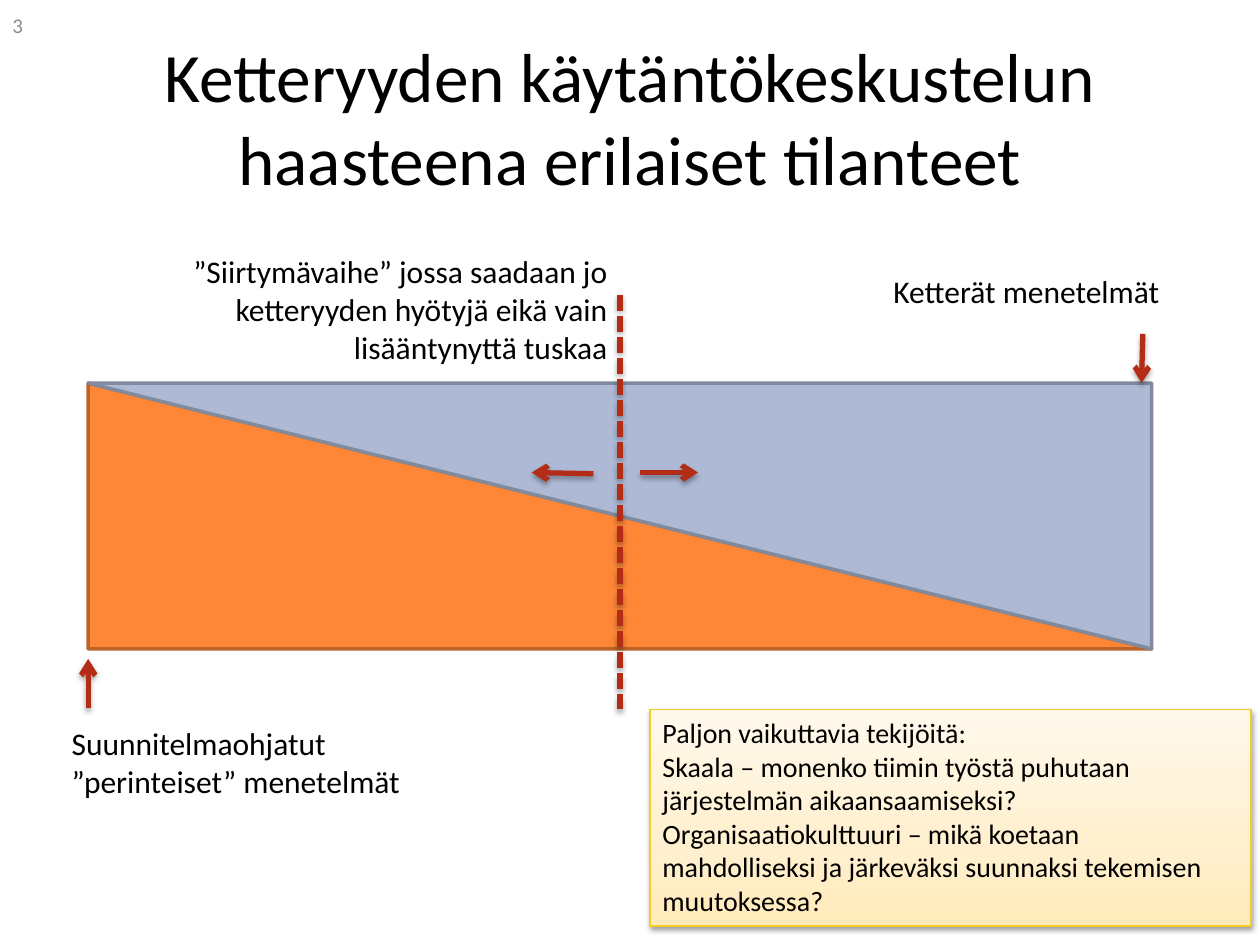
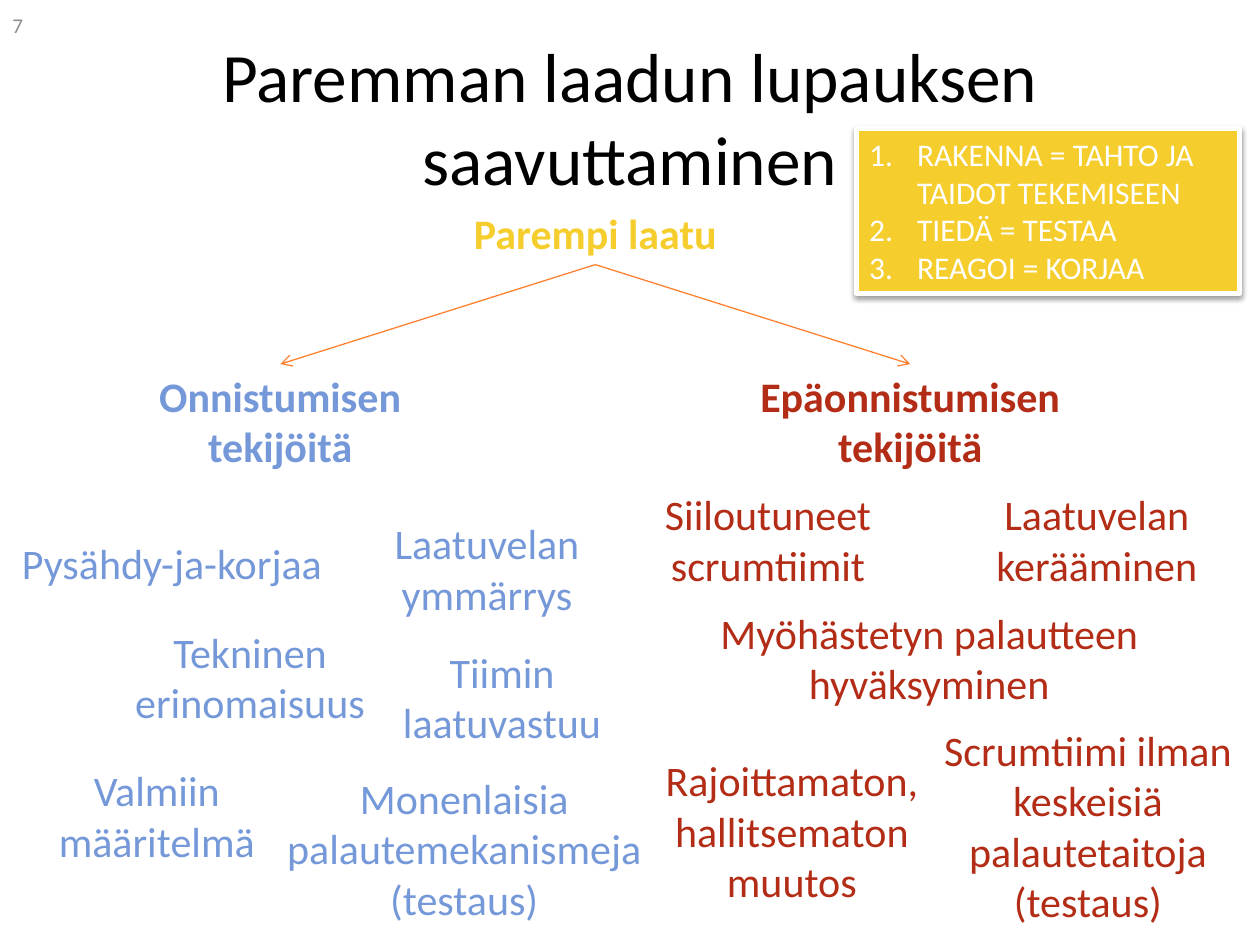
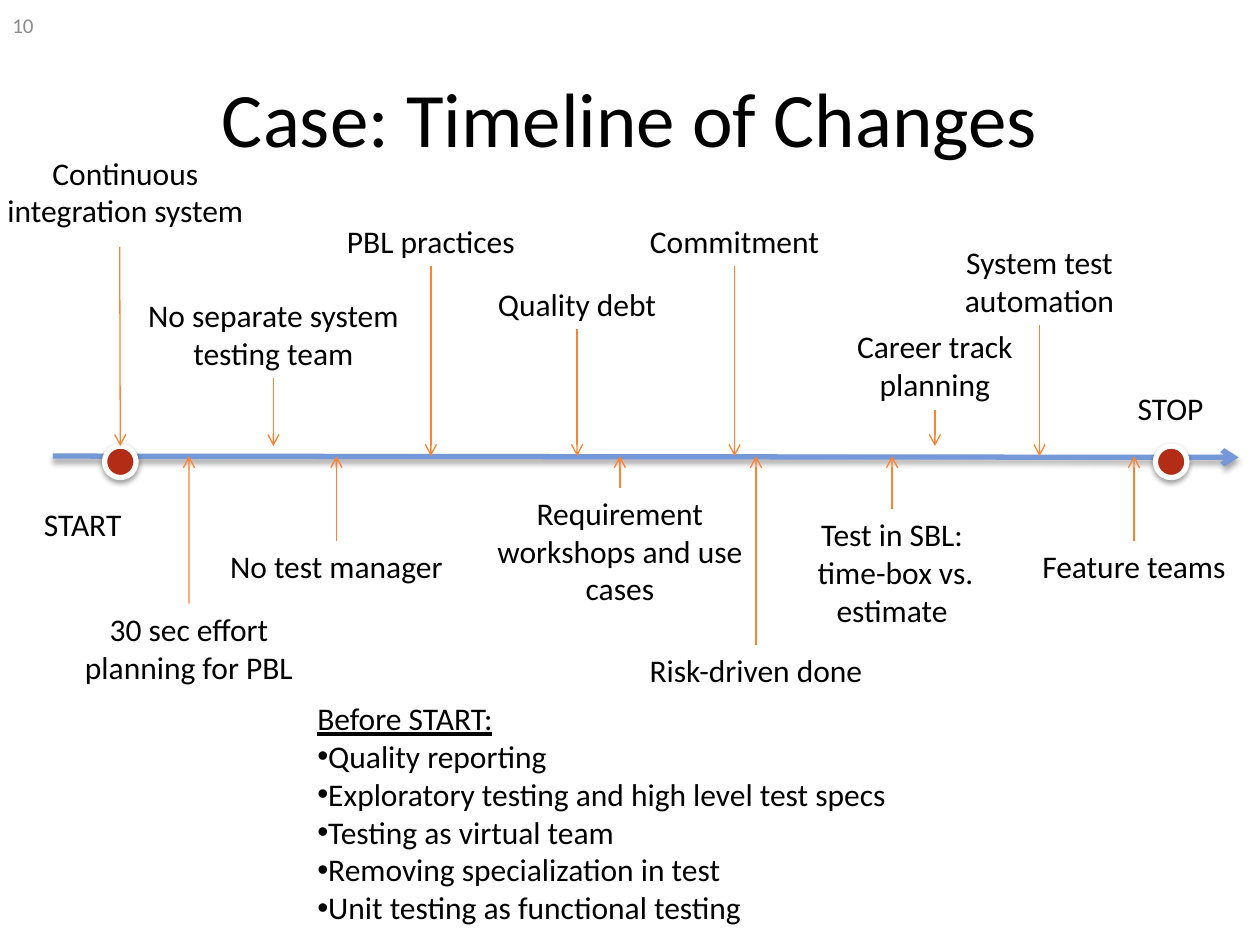
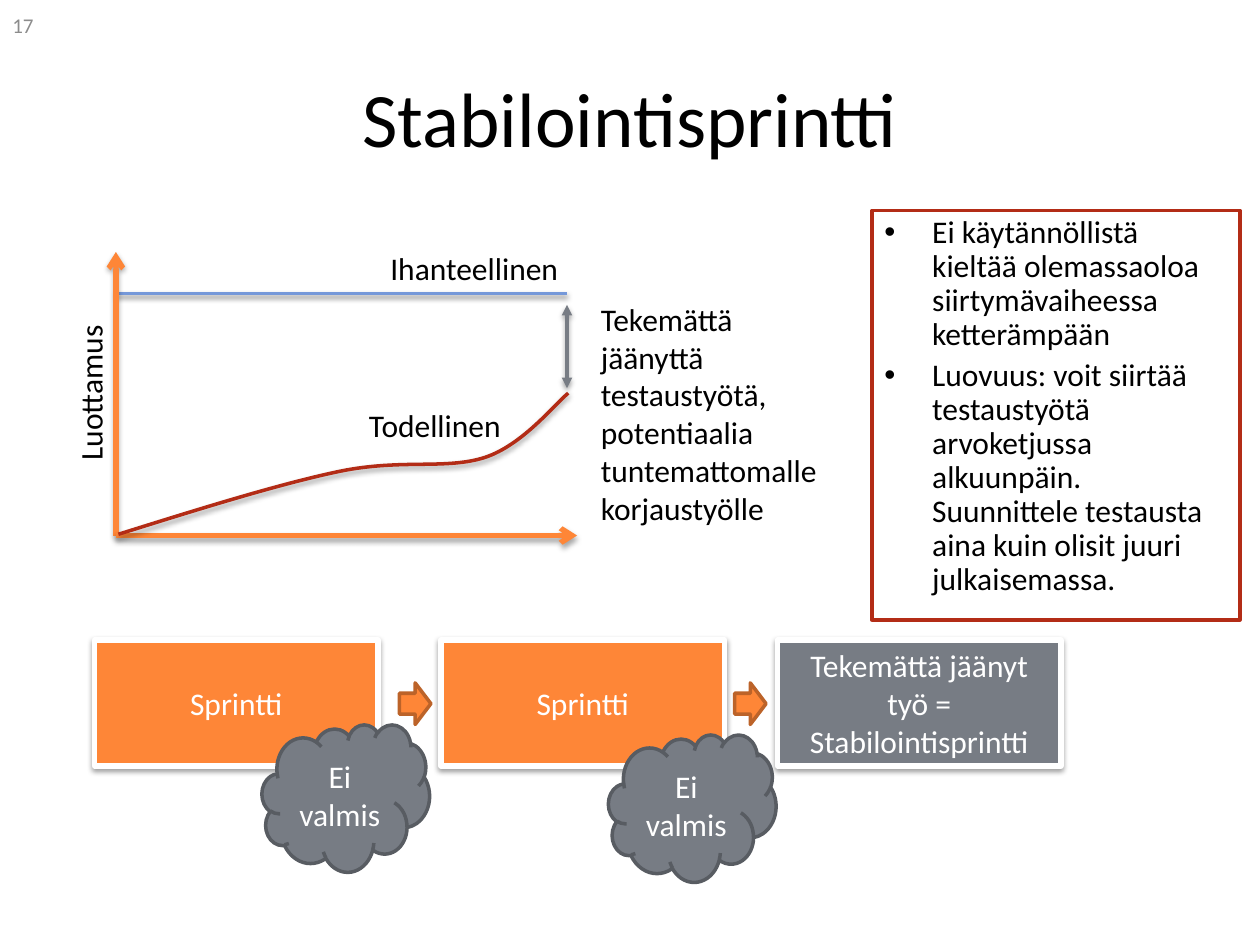
from copy import deepcopy
from dataclasses import dataclass
from typing import NamedTuple, Optional

from lxml import etree
from pptx import Presentation
from pptx.dml.color import RGBColor
from pptx.enum import dml, shapes, text
from pptx.oxml import ns
from pptx.util import Inches, Pt

FONT = "Calibri"
COLORS = {
    "black": "000000", "white": "FFFFFF", "number": "8C8C8C",
    "orange": "FE8637", "orange_edge": "BC6329", "thin_arrow": "FD8231",
    "blue": "7598D9", "pale_blue": "AEBAD5", "pale_blue_edge": "818A9E",
    "red": "B32C16", "yellow": "F5CD2D", "yellow_edge": "F4CB27",
    "grey": "777C84", "grey_edge": "585C62",
    "cream_dark": "FFEAB9", "cream": "FFEFCE", "cream_light": "FFF9EC",
}
LEFT, CENTER, RIGHT = text.PP_ALIGN.LEFT, text.PP_ALIGN.CENTER, text.PP_ALIGN.RIGHT
TOP, MIDDLE = text.MSO_ANCHOR.TOP, text.MSO_ANCHOR.MIDDLE
PRESET = shapes.MSO_SHAPE
TOP_SIDE, BOTTOM_SIDE = 0, 2


class Shadow(NamedTuple):
    opacity: int
    blur: float
    distance: float


LINE_SHADOW = Shadow(35, 3.1, 1.8)
SHAPE_SHADOW = Shadow(38, 3.1, 1.6)


class Frame(NamedTuple):
    left: float
    top: float
    width: float
    height: float

    def lengths(self) -> list:
        return [Inches(value) for value in self]


@dataclass(frozen=True)
class TextStyle:
    size: float = 18
    color: str = "black"
    bold: bool = False
    align: text.PP_ALIGN = LEFT
    anchor: text.MSO_ANCHOR = TOP
    marker: Optional[str] = None      # "•" or "1."
    hanging: float = 0
    line_spacing: Optional[float] = None
    space_between: float = 0


@dataclass(frozen=True)
class Look:
    fill: Optional[str]
    edge: str
    weight: float
    shadow: Optional[Shadow] = None


@dataclass(frozen=True)
class Stroke:
    color: str
    weight: float
    head: Optional[str] = None
    tail: Optional[str] = None
    shadow: Optional[Shadow] = None
    dash: Optional[dml.MSO_LINE] = None


@dataclass(frozen=True)
class Factor:
    """A label of the quality tree; lines is the number of lines it takes up."""
    words: str
    left: float
    top: float
    width: float = 2.73
    lines: int = 2


@dataclass(frozen=True)
class Change:
    """A change on the timeline, centred at x, with an arrow from edge to tip."""
    words: str
    x: float
    edge: float
    lines: int = 1
    tip: float = 3.62


BODY = TextStyle()
BODY_CENTER = TextStyle(align=CENTER)
BODY_RIGHT = TextStyle(align=RIGHT)
ON_FILL = TextStyle(color="white", align=CENTER, anchor=MIDDLE)
THIN_ARROW = Stroke("thin_arrow", 0.75, tail="arrow")
RED_ARROW = Stroke("red", 3, tail="arrow", shadow=LINE_SHADOW)
AXIS = Stroke("orange", 3, tail="arrow", shadow=LINE_SHADOW)


def rgb(name: str) -> RGBColor:
    return RGBColor.from_string(COLORS[name])


def text_height(lines: int, size: float) -> float:
    return round(0.1 + lines * size * 1.21 / 72, 2)


def add_marker(paragraph, marker: str, hanging: float) -> None:
    props = paragraph._p.get_or_add_pPr()
    if hanging:
        props.set("marL", str(Inches(hanging)))
        props.set("indent", str(-Inches(hanging)))
    if marker == "1.":
        etree.SubElement(props, ns.qn("a:buAutoNum"), type="arabicPeriod")
    else:
        etree.SubElement(props, ns.qn("a:buFont"), typeface="Arial")
        etree.SubElement(props, ns.qn("a:buChar"), char=marker)


def style_paragraph(paragraph, style: TextStyle) -> None:
    if style.marker:
        add_marker(paragraph, style.marker, style.hanging)
    paragraph.alignment = style.align
    if style.line_spacing:
        paragraph.line_spacing = style.line_spacing
    font = paragraph.font
    font.name, font.size, font.bold = FONT, Pt(style.size), style.bold
    font.color.rgb = rgb(style.color)


def write(shape, words, style: TextStyle) -> None:
    """Fill a shape with one string, or with one paragraph per listed string."""
    frame = shape.text_frame
    frame.word_wrap = True
    frame.auto_size = text.MSO_AUTO_SIZE.NONE
    frame.vertical_anchor = style.anchor
    for index, content in enumerate([words] if isinstance(words, str) else words):
        paragraph = frame.add_paragraph() if index else frame.paragraphs[0]
        paragraph.text = content
        style_paragraph(paragraph, style)
        if index and style.space_between:
            paragraph.space_before = Pt(style.space_between)


def add_label(slide, words, frame: Frame, style: TextStyle = BODY):
    label = slide.shapes.add_textbox(*frame.lengths())
    write(label, words, style)
    return label


def set_shadow(shape, shadow: Optional[Shadow]) -> None:
    """Replace the theme shadow; call after the line has been set."""
    effects = etree.SubElement(shape._element.spPr, ns.qn("a:effectLst"))
    if shadow:
        outer = etree.SubElement(
            effects, ns.qn("a:outerShdw"), blurRad=str(Pt(shadow.blur)),
            dist=str(Pt(shadow.distance)), dir="5400000", rotWithShape="0")
        color = etree.SubElement(outer, ns.qn("a:srgbClr"), val=COLORS["black"])
        etree.SubElement(color, ns.qn("a:alpha"), val=str(shadow.opacity * 1000))


def apply_look(shape, look: Look) -> None:
    if look.fill:
        shape.fill.solid()
        shape.fill.fore_color.rgb = rgb(look.fill)
    else:
        shape.fill.background()
    shape.line.color.rgb = rgb(look.edge)
    shape.line.width = Pt(look.weight)
    set_shadow(shape, look.shadow)


def add_figure(slide, preset, frame: Frame, look: Look, words=None,
               style: TextStyle = ON_FILL):
    figure = slide.shapes.add_shape(preset, *frame.lengths())
    apply_look(figure, look)
    if words:
        write(figure, words, style)
    return figure


def add_line(slide, start: tuple, end: tuple, stroke: Stroke):
    line = slide.shapes.add_connector(
        shapes.MSO_CONNECTOR.STRAIGHT, *[Inches(v) for v in (*start, *end)])
    line.line.color.rgb = rgb(stroke.color)
    line.line.width = Pt(stroke.weight)
    if stroke.dash:
        line.line.dash_style = stroke.dash
    outline = line._element.spPr.find(ns.qn("a:ln"))
    for tag, arrowhead in (("a:headEnd", stroke.head), ("a:tailEnd", stroke.tail)):
        if arrowhead:
            etree.SubElement(outline, ns.qn(tag), type=arrowhead)
    set_shadow(line, stroke.shadow)
    return line


def add_curve(slide, points: list, look: Look) -> None:
    """Draw a start point followed by triples of cubic Bézier points."""
    start, *rest = [(Inches(x), Inches(y)) for x, y in points]
    builder = slide.shapes.build_freeform(*start)
    builder.add_line_segments(rest, close=False)
    curve = builder.convert_to_shape()
    outline = curve._element.spPr.find(".//" + ns.qn("a:path"))
    segments = outline.findall(ns.qn("a:lnTo"))
    for first in range(0, len(segments), 3):
        bezier = etree.SubElement(outline, ns.qn("a:cubicBezTo"))
        for segment in segments[first:first + 3]:
            bezier.append(segment[0])
            outline.remove(segment)
    apply_look(curve, look)


def fill_gradient(shape, stops: list) -> None:
    """Fill upwards through three (position, colour) stops."""
    shape.fill.gradient()
    shape.fill.gradient_angle = 90
    stop_list = shape._element.spPr.find(".//" + ns.qn("a:gsLst"))
    stop_list.insert(1, deepcopy(stop_list[0]))
    for stop, (position, color) in zip(shape.fill.gradient_stops, stops):
        stop.position = position
        stop.color.rgb = rgb(color)


def add_slide(deck, title: str, number: int, title_size: float = 44):
    slide = deck.slides.add_slide(deck.slide_layouts[5])
    heading = slide.shapes.title
    heading.left, heading.top, heading.width, heading.height = \
        Frame(0.5, 0.3, 9, 1.25).lengths()
    write(heading, title, TextStyle(title_size, align=CENTER, anchor=MIDDLE))
    add_label(slide, str(number), Frame(0, 0, 2.33, 0.4),
              TextStyle(12, "number", anchor=MIDDLE))
    return slide


def build_situations(deck) -> None:
    slide = add_slide(deck, "Ketteryyden käytäntökeskustelun haasteena erilaiset tilanteet",
                      3, 39.6)
    band = Frame(0.7, 3.04, 8.44, 2.11)
    add_figure(slide, PRESET.RIGHT_TRIANGLE, band, Look("orange", "orange_edge", 2))
    agile = add_figure(slide, PRESET.RIGHT_TRIANGLE, band,
                       Look("pale_blue", "pale_blue_edge", 2))
    agile.rotation = 180

    add_label(slide, "Suunnitelmaohjatut ”perinteiset” menetelmät",
              Frame(0.47, 5.7, 3.36, 0.71))
    add_label(slide, "Ketterät menetelmät", Frame(6.25, 2.11, 3.05, 0.4), BODY_RIGHT)
    add_label(slide, "”Siirtymävaihe” jossa saadaan jo ketteryyden hyötyjä "
              "eikä vain lisääntynyttä tuskaa", Frame(1.33, 1.95, 3.59, 1.01), BODY_RIGHT)

    add_line(slide, (4.92, 2.34), (4.92, 5.63),
             Stroke("red", 3, shadow=LINE_SHADOW, dash=dml.MSO_LINE.SQUARE_DOT))
    for start, end in [((0.7, 5.62), (0.7, 5.23)), ((9.07, 2.65), (9.06, 3.04)),
                       ((5.08, 3.75), (5.54, 3.75)), ((4.71, 3.76), (4.22, 3.75))]:
        add_line(slide, start, end, RED_ARROW)

    factors = add_figure(
        slide, PRESET.RECTANGLE, Frame(5.16, 5.63, 4.77, 1.72),
        Look("cream", "yellow_edge", 0.75, SHAPE_SHADOW),
        ["Paljon vaikuttavia tekijöitä:",
         "Skaala – monenko tiimin työstä puhutaan järjestelmän aikaansaamiseksi?",
         "Organisaatiokulttuuri – mikä koetaan mahdolliseksi ja järkeväksi "
         "suunnaksi tekemisen muutoksessa?"],
        TextStyle(16))
    fill_gradient(factors, [(0, "cream_dark"), (0.35, "cream"), (1, "cream_light")])


def add_factor(slide, factor: Factor, color: str, bold: bool = False):
    style = TextStyle(24, color, bold, CENTER)
    height = text_height(factor.lines, style.size)
    return add_label(slide, factor.words,
                     Frame(factor.left, factor.top, factor.width, height), style)


def build_quality(deck) -> None:
    slide = add_slide(deck, "Paremman laadun lupauksen saavuttaminen", 7, 39.6)
    branches = [
        (Factor("Onnistumisen tekijöitä", 0.86, 2.89), "blue", [
            Factor("Pysähdy-ja-korjaa", 0, 4.22, lines=1),
            Factor("Tekninen erinomaisuus", 0.62, 4.92),
            Factor("Valmiin määritelmä", 0.23, 6.02, 2.03),
            Factor("Laatuvelan ymmärrys", 2.5, 4.06),
            Factor("Tiimin laatuvastuu", 2.97, 5.08, 2.03),
            Factor("Monenlaisia palautemekanismeja (testaus)", 2.12, 6.08, 3.13, 3),
        ]),
        (Factor("Epäonnistumisen tekijöitä", 5.86, 2.89), "red", [
            Factor("Laatuvelan kerääminen", 7.34, 3.83),
            Factor("Siiloutuneet scrumtiimit", 5, 3.83, 2.19),
            Factor("Scrumtiimi ilman keskeisiä palautetaitoja (testaus)", 7.27, 5.7, lines=4),
            Factor("Myöhästetyn palautteen hyväksyminen", 5.42, 4.77, 3.91),
            Factor("Rajoittamaton, hallitsematon muutos", 4.92, 5.94, lines=3),
        ]),
    ]
    root = add_factor(slide, Factor("Parempi laatu", 3.36, 1.6, lines=1), "yellow", True)
    for heading, color, factors in branches:
        branch = add_factor(slide, heading, color, True)
        arrow = add_line(slide, (4.73, 2.11), (heading.left, heading.top), THIN_ARROW)
        arrow.begin_connect(root, BOTTOM_SIDE)
        arrow.end_connect(branch, TOP_SIDE)
        for factor in factors:
            add_factor(slide, factor, color)

    add_figure(slide, PRESET.RECTANGLE, Frame(6.8, 1.02, 3.04, 1.31),
               Look("yellow", "white", 3, SHAPE_SHADOW),
               ["RAKENNA = TAHTO JA TAIDOT TEKEMISEEN", "TIEDÄ = TESTAA",
                "REAGOI = KORJAA"],
               TextStyle(color="white", marker="1.", hanging=0.38))


def add_change(slide, change: Change) -> None:
    width, height = 2.33, text_height(change.lines, BODY.size)
    above = change.edge < change.tip
    top = change.edge - height if above else change.edge
    label = add_label(slide, change.words,
                      Frame(change.x - width / 2, top, width, height), BODY_CENTER)
    arrow = add_line(slide, (change.x, change.edge), (change.x, change.tip), THIN_ARROW)
    arrow.begin_connect(label, BOTTOM_SIDE if above else TOP_SIDE)


def build_timeline(deck) -> None:
    slide = add_slide(deck, "Case: Timeline of Changes", 10)
    add_line(slide, (0.42, 3.62), (9.83, 3.63),
             Stroke("blue", 3, tail="arrow", shadow=LINE_SHADOW))
    start, _stop = [
        add_figure(slide, PRESET.OVAL, Frame(left, 3.54, 0.25, 0.25),
                   Look("red", "white", 3, SHAPE_SHADOW))
        for left in (0.83, 9.17)]
    add_label(slide, "START", Frame(0.25, 3.96, 0.92, 0.4))
    add_label(slide, "STOP", Frame(8.83, 3.04, 0.92, 0.4), BODY_CENTER)

    add_label(slide, "Continuous integration system",
              Frame(-0.17, 1.17, 2.33, 0.71), BODY_CENTER)
    first_arrow = add_line(slide, (0.95, 1.96), (0.96, 3.54), THIN_ARROW)
    first_arrow.end_connect(start, TOP_SIDE)
    for change in [
        Change("No separate system testing team", 2.17, 3, 2, 3.54),
        Change("PBL practices", 3.42, 2.11),
        Change("Quality debt", 4.58, 2.61),
        Change("Commitment", 5.83, 2.11),
        Change("Career track planning", 7.42, 3.25, 2, 3.54),
        Change("System test automation", 8.25, 2.58, 2),
        Change("30 sec effort planning for PBL", 1.5, 4.79, 2),
        Change("No test manager", 2.67, 4.29),
        Change("Requirement workshops and use cases", 4.92, 3.87, 3),
        Change("Risk-driven done", 6, 5.12),
        Change("Test in SBL:\v time-box vs. estimate", 7.08, 4.04, 3),
        Change("Feature teams", 9, 4.29),
    ]:
        add_change(slide, change)

    before = add_label(slide, "Before START:", Frame(2.42, 5.5, 5.33, 1.92))
    before.text_frame.paragraphs[0].font.underline = True
    for practice in ["Quality reporting", "Exploratory testing and high level test specs",
                     "Testing as virtual team", "Removing specialization in test",
                     "Unit testing as functional testing"]:
        paragraph = before.text_frame.add_paragraph()
        paragraph.text = practice
        style_paragraph(paragraph, TextStyle(marker="•"))


def build_stabilisation(deck) -> None:
    slide = add_slide(deck, "Stabilointisprintti", 17)
    add_line(slide, (0.92, 2.33), (4.5, 2.33), Stroke("blue", 2, shadow=SHAPE_SHADOW))
    origin = (0.92, 4.25)
    for axis_end in [(0.92, 2), (4.58, 4.25)]:
        add_line(slide, origin, axis_end, AXIS)
    trust = add_label(slide, "Luottamus", Frame(-0.41, 2.92, 2.25, 0.4), BODY_CENTER)
    trust.rotation = 270
    add_label(slide, "Ihanteellinen", Frame(3, 1.93, 1.67, 0.4))
    add_curve(slide, [(0.94, 4.24), (1.58, 4.04), (2.22, 3.84), (2.7, 3.74),
                      (3.19, 3.64), (3.54, 3.73), (3.85, 3.63),
                      (4.15, 3.53), (4.4, 3.21), (4.51, 3.12)],
              Look(None, "red", 2, SHAPE_SHADOW))
    add_line(slide, (4.5, 2.42), (4.5, 3.08),
             Stroke("grey", 2, "triangle", "triangle", SHAPE_SHADOW))
    add_label(slide, "Tekemättä jäänyttä testaustyötä, potentiaalia "
              "tuntemattomalle korjaustyölle", Frame(4.67, 2.33, 2, 1.92))
    add_label(slide, "Todellinen", Frame(2.83, 3.17, 1.42, 0.4))

    for words, left, fill in [("Sprintti", 0.75, "orange"), ("Sprintti", 3.5, "orange"),
                              ("Tekemättä jäänyt työ = Stabilointisprintti", 6.17, "grey")]:
        add_figure(slide, PRESET.RECTANGLE, Frame(left, 5.08, 2.25, 1),
                   Look(fill, "white", 3, SHAPE_SHADOW), words)
    for left, top in [(2.08, 5.75), (4.83, 5.83)]:
        add_figure(slide, PRESET.CLOUD, Frame(left, top, 1.33, 1.17),
                   Look("grey", "grey_edge", 2), "Ei valmis")
    for left in (3.17, 5.83):
        add_figure(slide, PRESET.RIGHT_ARROW, Frame(left, 5.42, 0.25, 0.33),
                   Look("orange", "orange_edge", 2))

    add_figure(slide, PRESET.RECTANGLE, Frame(6.92, 1.67, 2.92, 3.25),
               Look("white", "red", 2),
               ["Ei käytännöllistä kieltää olemassaoloa siirtymävaiheessa ketterämpään",
                "Luovuus: voit siirtää testaustyötä arvoketjussa alkuunpäin. Suunnittele "
                "testausta aina kuin olisit juuri julkaisemassa."],
               TextStyle(marker="•", hanging=0.38, line_spacing=0.9, space_between=3.6))


def main() -> None:
    deck = Presentation()
    deck.slide_width, deck.slide_height = Inches(10), Inches(7.5)
    for build in (build_situations, build_quality, build_timeline, build_stabilisation):
        build(deck)
    deck.save("out.pptx")


if __name__ == "__main__":
    main()
